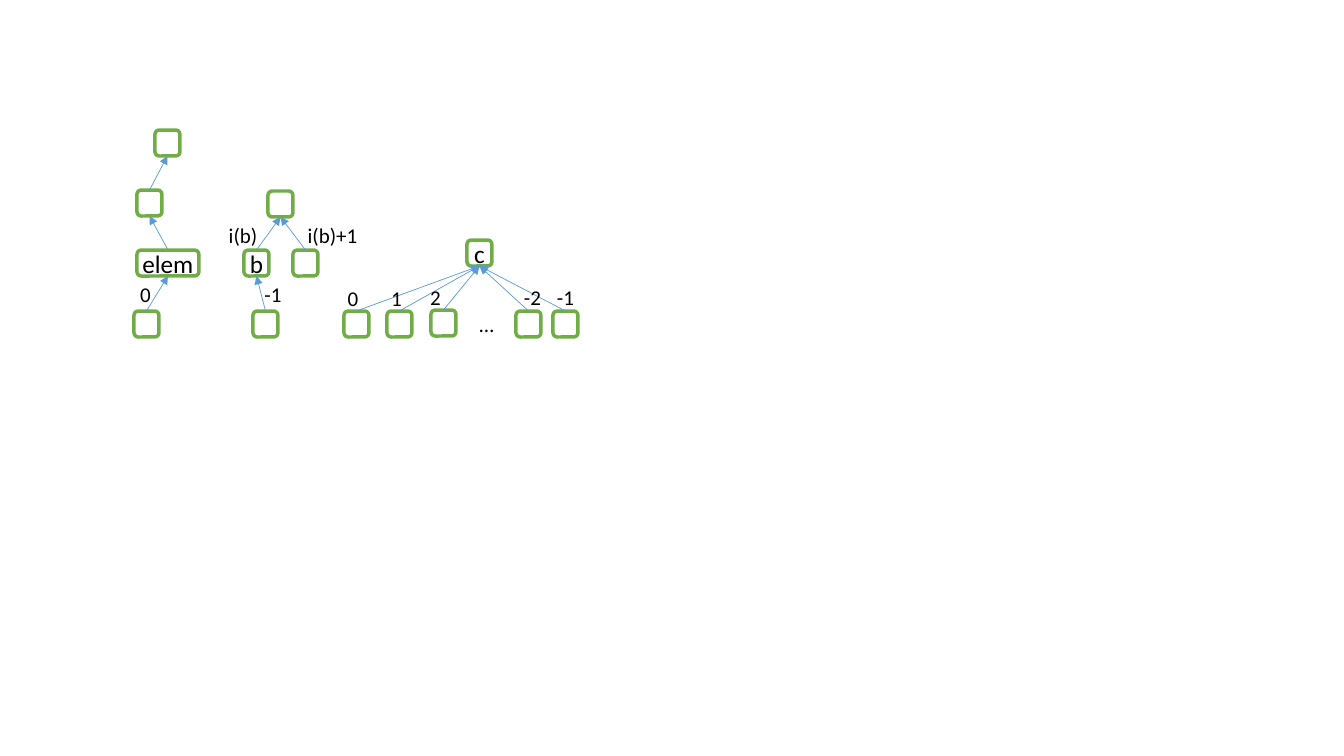
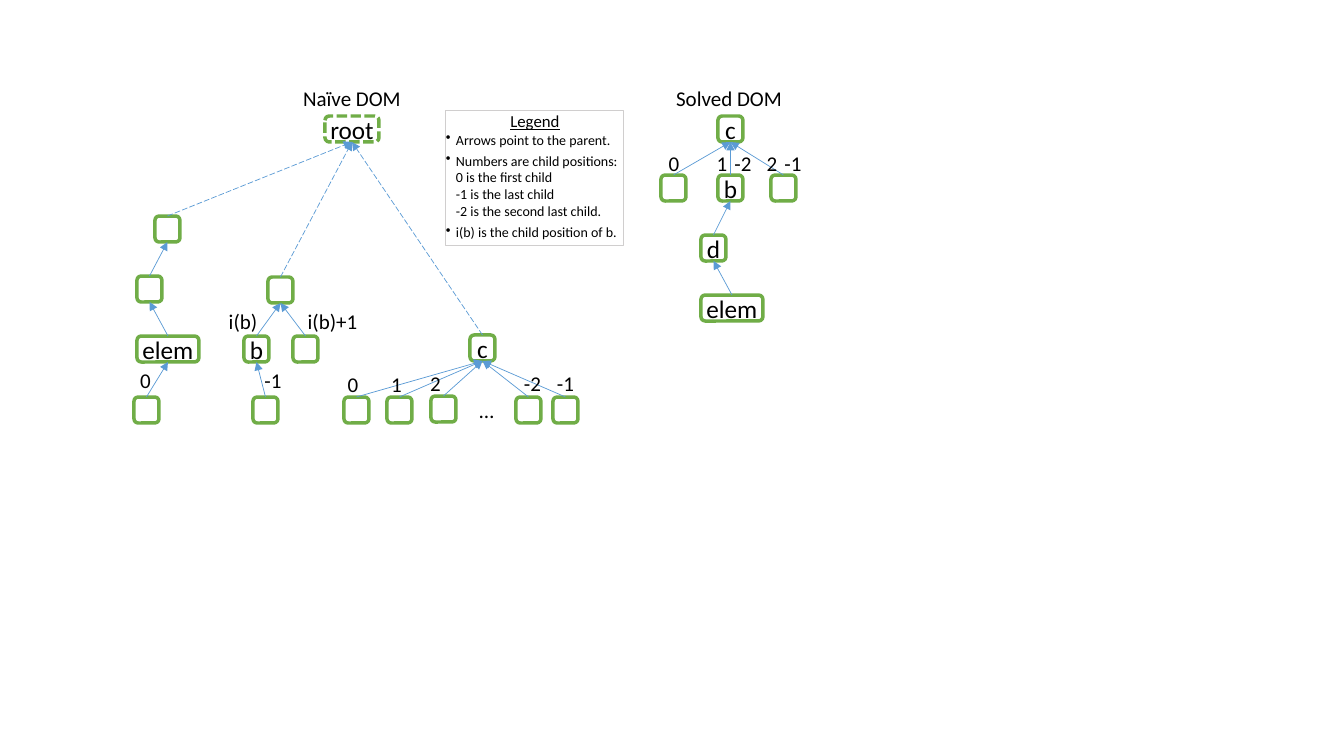
import pptx
import pptx.dml.color
import pptx.enum.dml
import pptx.enum.shapes
import pptx.enum.text
import pptx.oxml
import pptx.oxml.ns
import pptx.util

RGBColor = pptx.dml.color.RGBColor
GREEN = RGBColor(0x70, 0xAD, 0x47)
BLUE = RGBColor(0x5B, 0x9B, 0xD5)
GREY = RGBColor(0xD0, 0xCE, 0xCE)
WHITE = RGBColor(0xFF, 0xFF, 0xFF)
BLACK = RGBColor(0, 0, 0)
FONT = "Calibri"
DASH = pptx.enum.dml.MSO_LINE
ALIGN = pptx.enum.text.PP_ALIGN
ANCHOR = pptx.enum.text.MSO_ANCHOR
SHAPE = pptx.enum.shapes.MSO_SHAPE

PIXELS_PER_INCH = 100.8
SLIDE_SIZE = (1344, 756)
NODE_WIDTH, NODE_HEIGHT, LABEL_HEIGHT = 25, 26, 25
WIDE = 62
NAIVE_DROP = 86  # how much lower the three trees sit under the root

# nodes: name -> (left, top, width, text); edges: (child, parent)
# labels: (left, top, width, text)
ELEM_TREE = {
    "nodes": {
        "top": (155, 130, NODE_WIDTH, ""),
        "middle": (137, 190, NODE_WIDTH, ""),
        "elem": (137, 250, WIDE, "elem"),
        "leaf": (134, 311, NODE_WIDTH, ""),
    },
    "edges": [("elem", "middle"), ("middle", "top"), ("leaf", "elem")],
    "labels": [(139, 282, 13, "0")],
}
B_TREE = {
    "nodes": {
        "top": (268, 191, NODE_WIDTH, ""),
        "b": (244, 250, NODE_WIDTH, "b"),
        "sibling": (293, 250, NODE_WIDTH, ""),
        "leaf": (253, 311, NODE_WIDTH, ""),
    },
    "edges": [("b", "top"), ("sibling", "top"), ("leaf", "b")],
    "labels": [(225, 223, 36, "i(b)"), (305, 223, 55, "i(b)+1"),
               (260, 282, 26, "-1")],
}
C_CHILDREN = {
    "first": (344, 311, NODE_WIDTH, ""),
    "second": (387, 311, NODE_WIDTH, ""),
    "third": (431, 310, NODE_WIDTH, ""),
    "second last": (516, 311, NODE_WIDTH, ""),
    "last": (553, 311, NODE_WIDTH, ""),
}
C_LABELS = [(344, 286, 18, "0"), (387, 286, 19, "1"), (426, 285, 19, "2"),
            (523, 285, 19, "-2"), (556, 285, 19, "-1"), (477, 312, 19, "…")]
SOLVED_TREE = {
    "nodes": {
        "top": (718, 116, NODE_WIDTH, "c"),
        "left": (661, 175, NODE_WIDTH, ""),
        "b": (718, 175, NODE_WIDTH, "b"),
        "right": (771, 175, NODE_WIDTH, ""),
        "d": (701, 235, NODE_WIDTH, "d"),
        "elem": (701, 295, WIDE, "elem"),
    },
    "edges": [("left", "top"), ("b", "top"), ("right", "top"),
              ("d", "b"), ("elem", "d")],
    "labels": [(665, 151, 18, "0"), (713, 151, 18, "1"), (734, 151, 18, "-2"),
               (763, 151, 18, "2"), (784, 151, 18, "-1")],
}
ROOT = (325, 116, 54, "root")
HEADINGS = [(302, 86, 100, "Naïve DOM"), (674, 86, 110, "Solved DOM")]
LEGEND_BOX = (446, 111, 178, 135)
LEGEND_TITLE = "Legend"
LEGEND_ITEMS = [
    "Arrows point to the parent.",
    "Numbers are child positions:\n0 is the first child\n-1 is the last child\n"
    "-2 is the second last child.",
    "i(b) is the child position of b.",
]


def emu(pixels):
    """Turn pixels into EMU."""
    return pptx.util.Emu(round(pixels * 914400 / PIXELS_PER_INCH))


def c_tree(left, top):
    """Describe the tree under c, with c at the given place."""
    nodes = {"top": (left, top, NODE_WIDTH, "c"), **C_CHILDREN}
    return {"nodes": nodes, "labels": C_LABELS,
            "edges": [(child, "top") for child in C_CHILDREN]}


def clear_margins(text_frame, anchor, wrap):
    """Remove the insets and set the anchor and wrapping."""
    text_frame.margin_left = text_frame.margin_right = 0
    text_frame.margin_top = text_frame.margin_bottom = 0
    text_frame.vertical_anchor = anchor
    text_frame.word_wrap = wrap


def write(paragraph, text, size, align=ALIGN.CENTER):
    """Fill one paragraph with text in the shared font."""
    paragraph.text = text
    paragraph.alignment = align
    paragraph.font.name = FONT
    paragraph.font.size = pptx.util.Pt(size)
    paragraph.font.color.rgb = BLACK


def add_node(shapes, left, top, width, text):
    """Add a green rounded box with an optional name."""
    node = shapes.add_shape(SHAPE.ROUNDED_RECTANGLE, emu(left), emu(top),
                            emu(width), emu(NODE_HEIGHT))
    node.shadow.inherit = False
    node.fill.background()
    node.line.color.rgb = GREEN
    node.line.width = pptx.util.Pt(2.5)
    if text:
        clear_margins(node.text_frame, ANCHOR.MIDDLE, False)
        write(node.text_frame.paragraphs[0], text, 18)
    return node


def add_label(shapes, left, top, width, text):
    """Add a centred line of text."""
    label = shapes.add_textbox(emu(left), emu(top), emu(width), emu(LABEL_HEIGHT))
    clear_margins(label.text_frame, ANCHOR.MIDDLE, False)
    write(label.text_frame.paragraphs[0], text, 15)


def add_arrow(shapes, child, parent, dash=None):
    """Glue an arrow from the top of the child to the bottom of the parent."""
    arrow = shapes.add_connector(
        pptx.enum.shapes.MSO_CONNECTOR.STRAIGHT,
        child.left + child.width // 2, child.top,
        parent.left + parent.width // 2, parent.top + parent.height)
    arrow.begin_connect(child, 0)
    arrow.end_connect(parent, 2)
    arrow.line.color.rgb = BLUE
    arrow.line.width = pptx.util.Pt(0.5)
    if dash:
        arrow.line.dash_style = dash
    properties = arrow._element.spPr
    outline = properties.find(pptx.oxml.ns.qn("a:ln"))
    head = pptx.oxml.parse_xml(
        f'<a:tailEnd {pptx.oxml.ns.nsdecls("a")} type="triangle"/>')
    outline.append(head)
    properties.append(pptx.oxml.parse_xml(
        f'<a:effectLst {pptx.oxml.ns.nsdecls("a")}/>'))


def add_tree(slide, tree, drop=0):
    """Add a grouped tree, lowered by drop, and return its top node."""
    shapes = slide.shapes.add_group_shape().shapes
    nodes = {name: add_node(shapes, left, top + drop, width, text)
             for name, (left, top, width, text) in tree["nodes"].items()}
    for child, parent in tree["edges"]:
        add_arrow(shapes, nodes[child], nodes[parent])
    for left, top, width, text in tree["labels"]:
        add_label(shapes, left, top + drop, width, text)
    return nodes["top"]


def add_legend(slide):
    """Add the framed legend with its bulleted list."""
    legend = slide.shapes.add_shape(SHAPE.RECTANGLE, *map(emu, LEGEND_BOX))
    legend.shadow.inherit = False
    legend.fill.solid()
    legend.fill.fore_color.rgb = WHITE
    legend.line.color.rgb = GREY
    legend.line.width = pptx.util.Pt(0.75)
    text_frame = legend.text_frame
    clear_margins(text_frame, ANCHOR.TOP, True)
    write(text_frame.paragraphs[0], LEGEND_TITLE, 12)
    text_frame.paragraphs[0].font.underline = True
    for item in LEGEND_ITEMS:
        paragraph = text_frame.add_paragraph()
        properties = paragraph._p.get_or_add_pPr()
        properties.set("marL", str(emu(10)))
        properties.set("indent", str(emu(-10)))
        properties.append(pptx.oxml.parse_xml(
            f'<a:buChar {pptx.oxml.ns.nsdecls("a")} char="•"/>'))
        paragraph.space_after = pptx.util.Pt(3)
        write(paragraph, item, 10, ALIGN.LEFT)


def build_trees(slide):
    """Build the slide with the three separate trees."""
    for tree in (ELEM_TREE, B_TREE, c_tree(467, 240)):
        add_tree(slide, tree)


def build_comparison(slide):
    """Build the slide that sets the naive DOM beside the solved one."""
    tops = [add_tree(slide, tree, NAIVE_DROP)
            for tree in (ELEM_TREE, B_TREE, c_tree(470, 249))]
    root = add_node(slide.shapes, *ROOT)
    root.line.dash_style = DASH.SQUARE_DOT
    for top in tops:
        add_arrow(slide.shapes, top, root, DASH.LONG_DASH)
    add_legend(slide)
    add_tree(slide, SOLVED_TREE)
    for heading in HEADINGS:
        add_label(slide.shapes, *heading)


presentation = pptx.Presentation()
presentation.slide_width, presentation.slide_height = map(emu, SLIDE_SIZE)
for build in (build_trees, build_comparison):
    build(presentation.slides.add_slide(presentation.slide_layouts[6]))
presentation.save("out.pptx")
